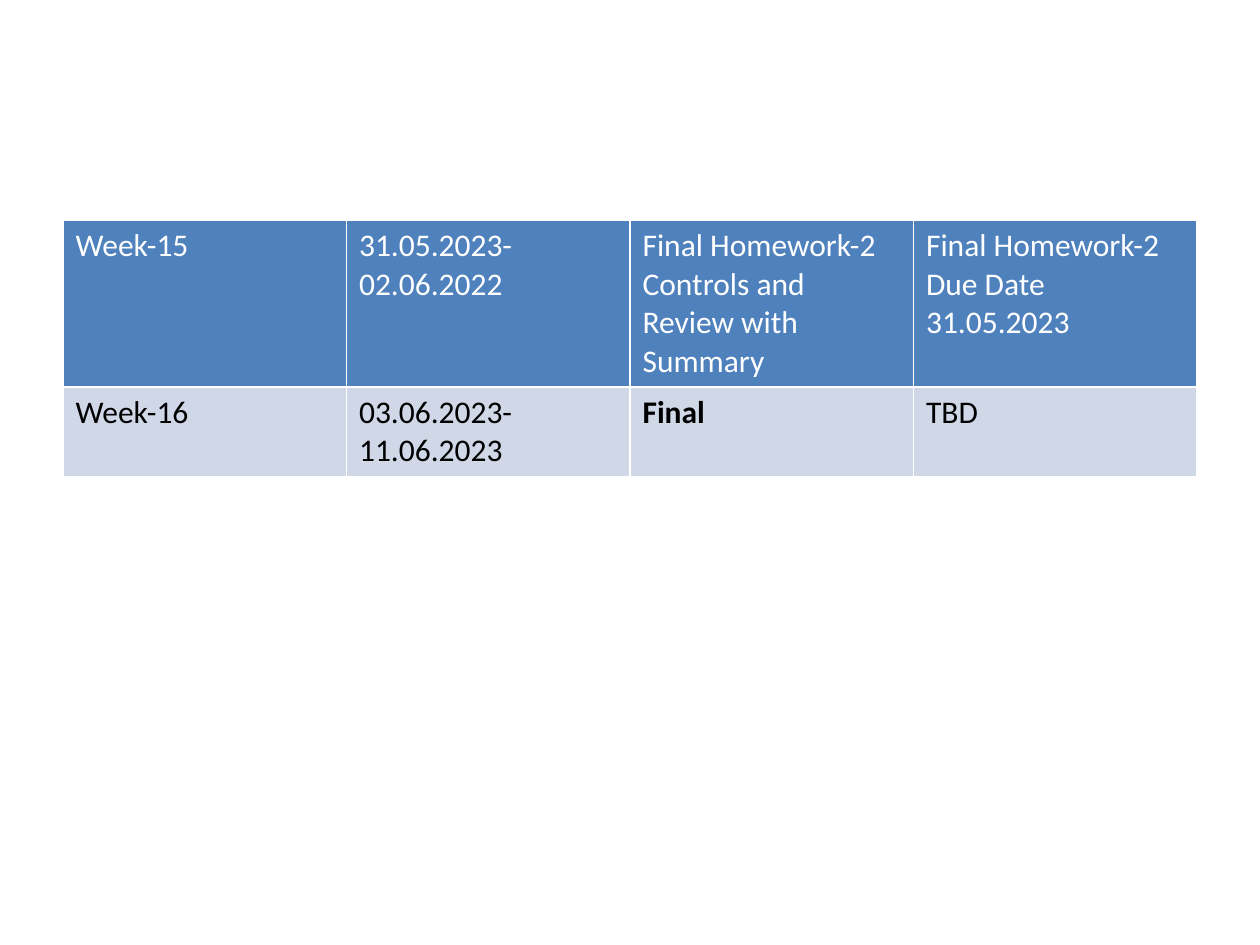
from pptx import Presentation
from pptx.dml.color import RGBColor
from pptx.oxml import parse_xml
from pptx.oxml.ns import nsdecls
from pptx.util import Inches, Pt

WHITE = RGBColor(0xFF, 0xFF, 0xFF)
BLACK = RGBColor(0x00, 0x00, 0x00)
BLUE = RGBColor(0x4F, 0x81, 0xBD)
PALE_BLUE = RGBColor(0xD0, 0xD8, 0xE8)

SCHEDULE = [
    {"height": 1.32, "fill": BLUE, "ink": WHITE, "cells": [
        "Week-15", "31.05.2023-02.06.2022",
        "Final Homework-2 Controls and Review with Summary",
        "Final Homework-2 Due Date\u00a0 31.05.2023"]},
    {"height": 0.71, "fill": PALE_BLUE, "ink": BLACK, "cells": [
        "Week-16", "03.06.2023-11.06.2023", "Final", "TBD"]},
]
BOLD_TEXTS = {"Final"}
COLUMN_COUNT = 4
MARGIN, TOP = 0.5, 1.75


def add_borders(cell, color, width):
    """Draw the same solid line on all four sides of a cell."""
    properties = cell._tc.get_or_add_tcPr()
    for position, side in enumerate("LRTB"):
        properties.insert(position, parse_xml(
            f'<a:ln{side} {nsdecls("a")} w="{width}"><a:solidFill>'
            f'<a:srgbClr val="{color}"/></a:solidFill></a:ln{side}>'))


def fill_cell(cell, text, fill, ink):
    """Write the text of a cell and set its colours and borders."""
    cell.fill.solid()
    cell.fill.fore_color.rgb = fill
    add_borders(cell, WHITE, Pt(1))
    cell.text = text
    font = cell.text_frame.paragraphs[0].font
    font.name, font.size = "Calibri", Pt(18)
    font.bold = text in BOLD_TEXTS
    font.color.rgb = ink


def add_schedule(page, width):
    """Add the schedule table with equal columns between the side margins."""
    height = sum(row["height"] for row in SCHEDULE)
    table = page.shapes.add_table(
        len(SCHEDULE), COLUMN_COUNT, Inches(MARGIN), Inches(TOP),
        width - 2 * Inches(MARGIN), Inches(height)).table
    for row, content in zip(table.rows, SCHEDULE):
        row.height = Inches(content["height"])
        for cell, text in zip(row.cells, content["cells"]):
            fill_cell(cell, text, content["fill"], content["ink"])


deck = Presentation()
deck.slide_width, deck.slide_height = Inches(10), Inches(7.5)
page = deck.slides.add_slide(deck.slide_layouts[6])
add_schedule(page, deck.slide_width)
deck.save("out.pptx")
